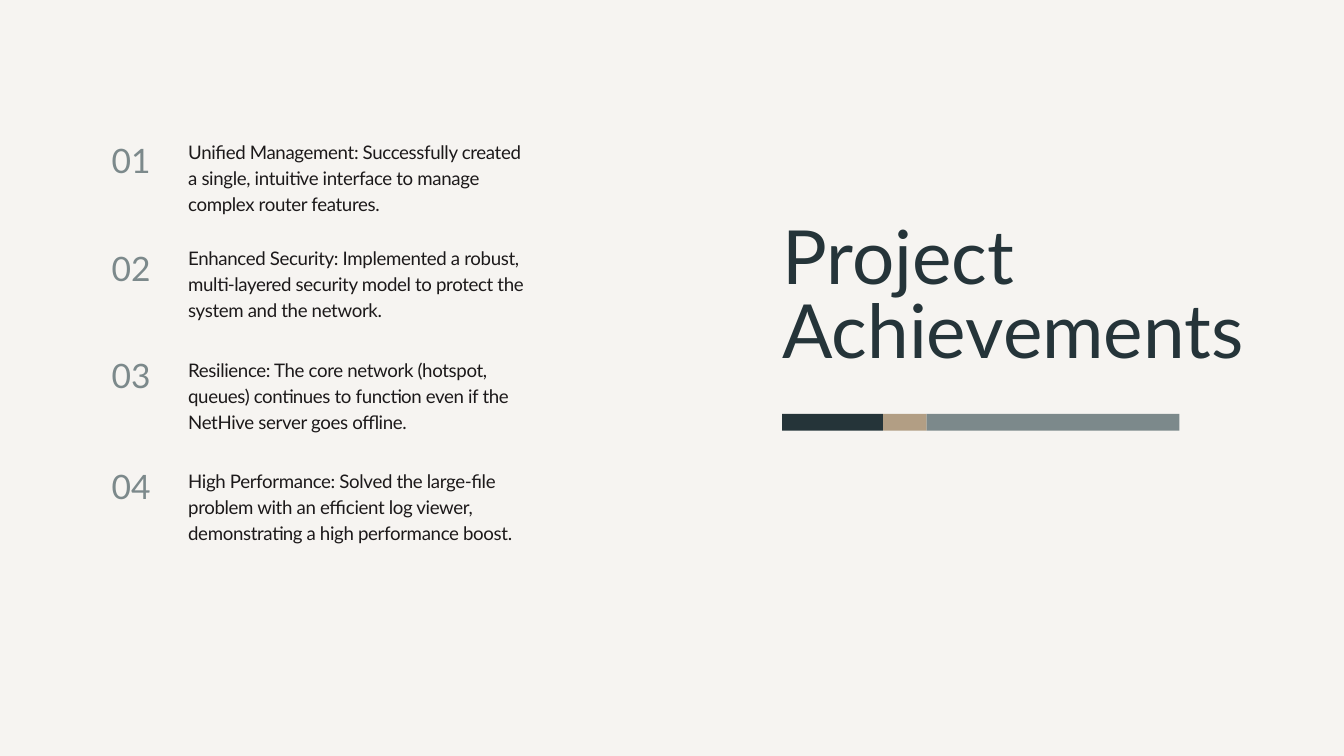
from pptx import Presentation
from pptx.dml.color import RGBColor
from pptx.enum.shapes import MSO_SHAPE
from pptx.enum.text import MSO_AUTO_SIZE, PP_ALIGN
from pptx.util import Inches, Pt

CREAM = RGBColor(0xF6, 0xF4, 0xF1)
NAVY = RGBColor(0x25, 0x34, 0x39)
SLATE = RGBColor(0x7C, 0x89, 0x8B)
TAN = RGBColor(0xB2, 0x9E, 0x84)
INK = RGBColor(0x1C, 0x19, 0x1A)

TITLE_LEFT = 11.64

ACHIEVEMENTS = [
    (2.18, 2.04, "Unified Management: Successfully created a single, "
                 "intuitive interface to manage complex router features."),
    (3.79, 3.62, "Enhanced Security: Implemented a robust, multi-layered "
                 "security model to protect the system and the network."),
    (5.38, 5.28, "Resilience: The core network (hotspot, queues) continues "
                 "to function even if the NetHive server goes offline."),
    (7.03, 6.93, "High Performance: Solved the large-file problem with an "
                 "efficient log viewer, demonstrating a high performance boost."),
]

STRIPE_BANDS = [(1.5, NAVY), (0.65, TAN), (3.76, SLATE)]


def add_text(slide, text, box, size, leading, color, align, tracking=0):
    frame = slide.shapes.add_textbox(*map(Inches, box)).text_frame
    frame.word_wrap = True
    frame.auto_size = MSO_AUTO_SIZE.SHAPE_TO_FIT_TEXT
    frame.margin_left = frame.margin_right = 0
    frame.margin_top = frame.margin_bottom = 0
    paragraph = frame.paragraphs[0]
    paragraph.alignment = align
    paragraph.line_spacing = Pt(leading)
    paragraph.font.name = "Lato"
    paragraph.font.size = Pt(size)
    paragraph.font.color.rgb = color
    run = paragraph.add_run()
    run.text = text
    if tracking:
        run._r.get_or_add_rPr().set("spc", str(round(tracking * 100)))


def add_achievement(slide, number, number_top, text_top, text):
    add_text(slide, f"{number:02}", (1.12, number_top, 1.12, 0.54),
             36, 36, SLATE, PP_ALIGN.RIGHT)
    add_text(slide, text, (2.8, text_top, 5.02, 1.14),
             20, 28, INK, PP_ALIGN.LEFT, tracking=-0.4)


def add_stripe(slide, left, top, height):
    for width, color in STRIPE_BANDS:
        band = slide.shapes.add_shape(
            MSO_SHAPE.RECTANGLE, Inches(left), Inches(top),
            Inches(width), Inches(height))
        band.shadow.inherit = False
        band.fill.solid()
        band.fill.fore_color.rgb = color
        band.line.fill.background()
        left += width


def main():
    deck = Presentation()
    deck.slide_width = Inches(20)
    deck.slide_height = Inches(11.25)
    slide = deck.slides.add_slide(deck.slide_layouts[6])
    slide.background.fill.solid()
    slide.background.fill.fore_color.rgb = CREAM

    add_text(slide, "Project Achievements", (TITLE_LEFT, 3.34, 7.23, 2.27),
             80, 80, NAVY, PP_ALIGN.JUSTIFY)
    add_stripe(slide, TITLE_LEFT, 6.16, 0.25)
    for number, achievement in enumerate(ACHIEVEMENTS, start=1):
        add_achievement(slide, number, *achievement)

    deck.save("out.pptx")


if __name__ == "__main__":
    main()
